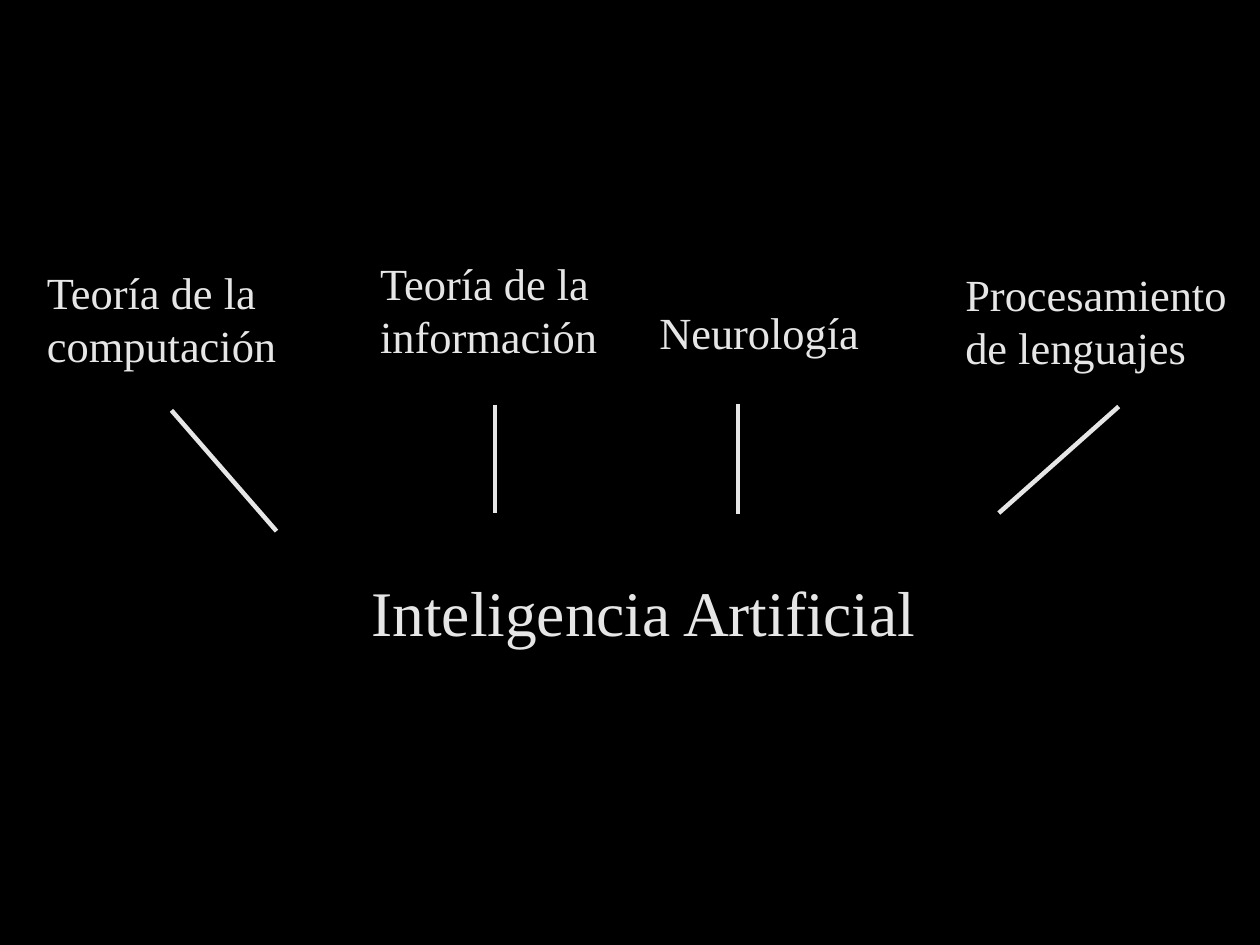
from dataclasses import dataclass
from lxml.etree import SubElement
from pptx import Presentation
from pptx.dml.color import RGBColor as RGB
from pptx.enum.shapes import MSO_CONNECTOR as CONN
from pptx.enum.text import MSO_ANCHOR as ANCHOR, MSO_AUTO_SIZE as FIT, PP_ALIGN as ALIGN
from pptx.oxml.ns import qn
from pptx.util import Pt

# Content: lengths in points
SLIDE_SIZE = (793.7, 595.28)
TOPIC = ("Inteligencia Artificial", (226.8, 357.1, 362.9, 51.8))
# Each field: text, box (left, top, width, height), line (x1, y1, x2, y2)
FIELDS = [
    ("Teoría de la computación", (22.5, 163.2, 164.2, 69.1), (108, 258.5, 174.2, 334.6)),
    ("Teoría de la información", (232.4, 157.5, 158.4, 69.1), (311.8, 254.9, 311.8, 323.2)),
    ("Neurología", (408.2, 188.6, 147.6, 38.2), (464.9, 254.2, 464.9, 324)),
    ("Procesamiento de lenguajes", (601, 164.4, 187.2, 69.1), (704.7, 256.1, 629.2, 323.2)),
]


@dataclass(frozen=True)
class Theme:
    background: RGB = RGB(0, 0, 0)
    ink: RGB = RGB(0xE6, 0xE6, 0xE6)
    font: str = "Times New Roman"
    topic_size: float = 40
    field_size: float = 28
    line_width: float = 2.83


THEME = Theme()


def pts(values):
    return [Pt(v) for v in values]


def write(sp, text, *, box, size, color=THEME.ink, align=ALIGN.LEFT):
    sp.left, sp.top, sp.width, sp.height = pts(box)
    tf = sp.text_frame
    tf.word_wrap = True
    tf.auto_size = FIT.NONE
    tf.vertical_anchor = ANCHOR.TOP
    tf.margin_left = tf.margin_right = Pt(7.2)
    tf.margin_top = tf.margin_bottom = Pt(3.6)
    p = tf.paragraphs[0]
    p.alignment = align
    p.line_spacing = 1.0
    p.space_before = Pt(0)
    r = p.add_run()
    r.text = text
    r.font.name, r.font.size, r.font.color.rgb = THEME.font, Pt(size), color


def draw_line(s, ends):
    line = s.shapes.add_connector(CONN.STRAIGHT, *pts(ends))
    line.line.color.rgb = THEME.ink
    line.line.width = Pt(THEME.line_width)
    SubElement(line._element.spPr, qn("a:effectLst"))


def main():
    prs = Presentation()
    prs.slide_width, prs.slide_height = pts(SLIDE_SIZE)
    s = prs.slides.add_slide(prs.slide_layouts.get_by_name("Title Only"))
    s.background.fill.solid()
    s.background.fill.fore_color.rgb = THEME.background

    # Central topic
    text, box = TOPIC
    write(s.shapes.title, text, box=box, size=THEME.topic_size)

    # Contributing fields and their lines to the topic
    for text, box, ends in FIELDS:
        write(s.shapes.add_textbox(*pts(box)), text, box=box, size=THEME.field_size)
        draw_line(s, ends)

    prs.save("out.pptx")


if __name__ == "__main__":
    main()
